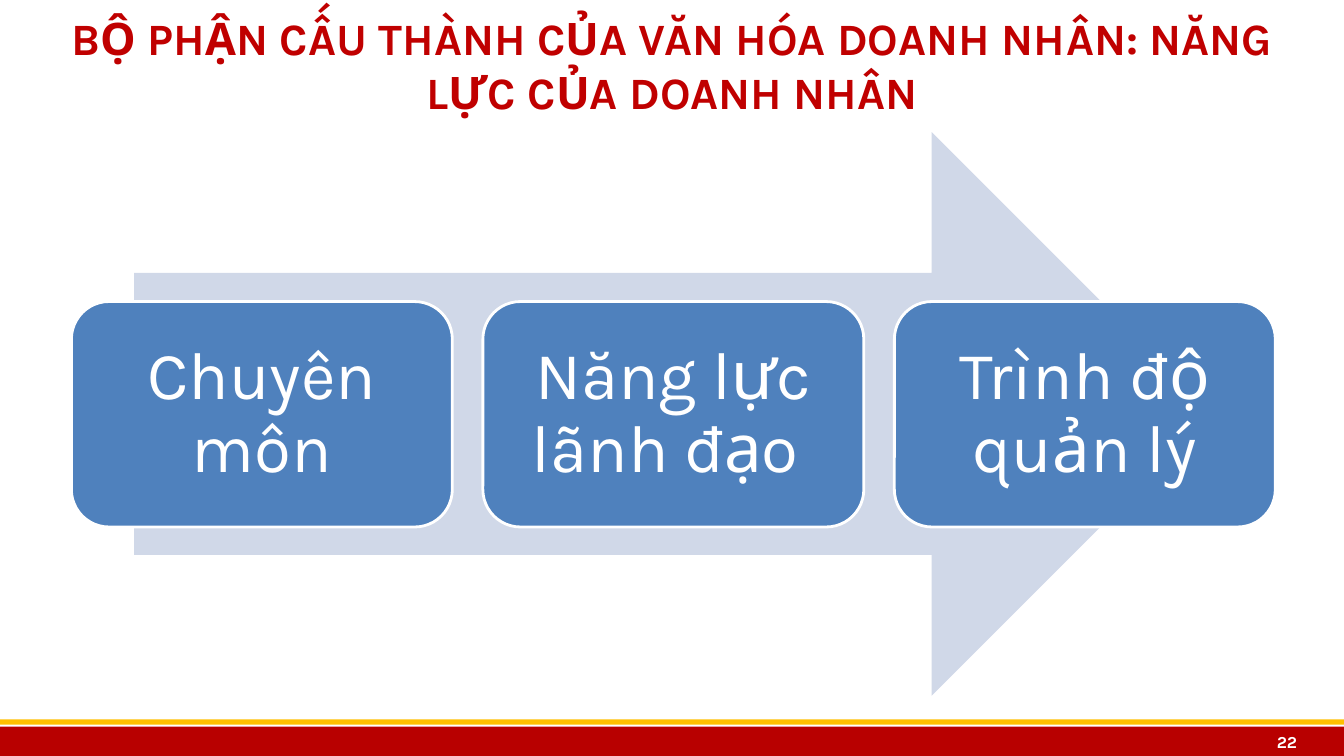
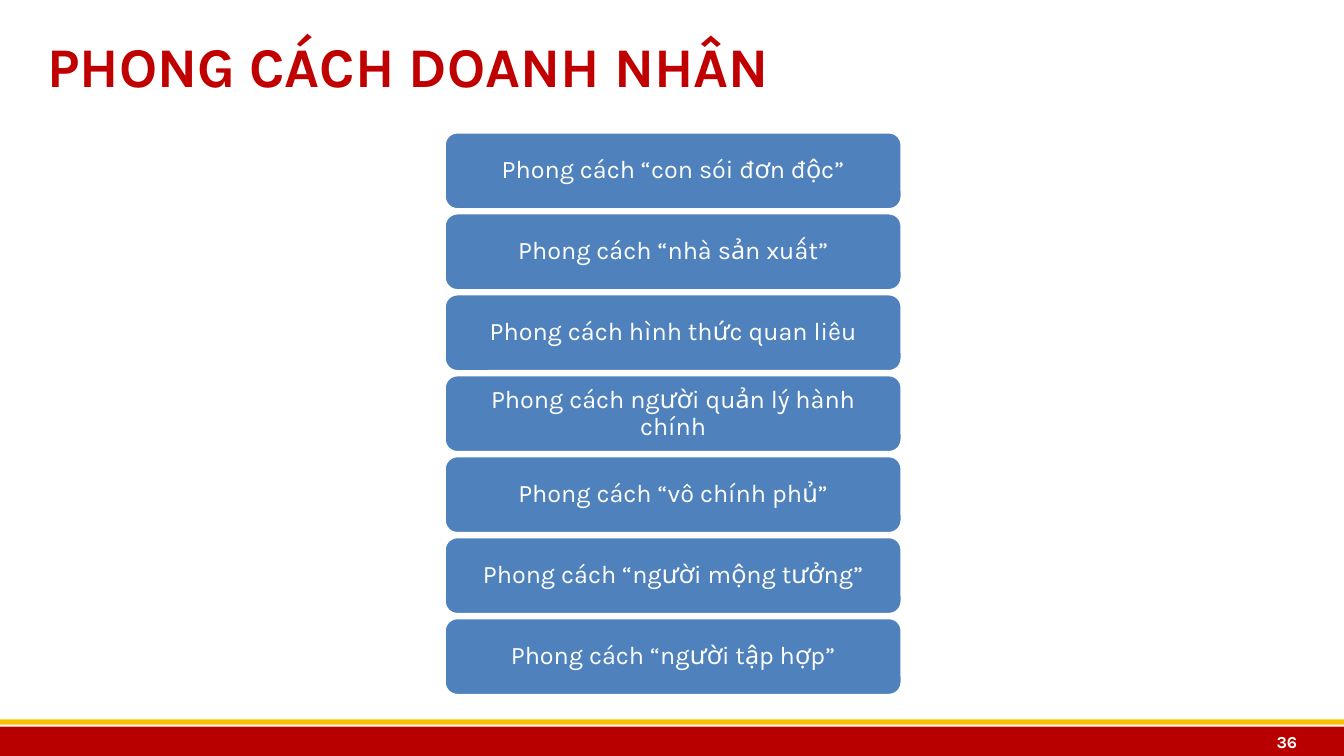
from pptx import Presentation
from pptx.dml.color import RGBColor
from pptx.enum.shapes import MSO_SHAPE as Form
from pptx.enum.text import MSO_ANCHOR as Anchor, MSO_AUTO_SIZE as Fit, PP_ALIGN as Align
from pptx.util import Cm, Pt

HUES = {"band": "B80000", "gold": "FFC000", "title": "C00000",
        "arrow": "D0D8E8", "card": "4F81BD", "white": "FFFFFF"}
WIDE, HIGH = 33.87, 19.05

SKILLS = ["Chuyên môn", "Năng lực lãnh đạo ", "Trình độ quản lý"]
STYLES = [
    "Phong cách “con sói đơn độc”",
    "Phong cách “nhà sản xuất”",
    "Phong cách hình thức quan liêu",
    "Phong cách người quản lý hành chính",
    "Phong cách “vô chính phủ”",
    "Phong cách “người mộng tưởng”",
    "Phong cách “người tập hợp”",
]


def hue(name):
    return RGBColor.from_string(HUES[name])


def set_all(item, **values):
    for name, value in values.items():
        setattr(item, name, value)


def place(shape, box):
    sides = ("left", "top", "width", "height")
    set_all(shape, **{side: Cm(n) for side, n in zip(sides, box)})


def write(shape, text, size, color="white", bold=False, align=Align.CENTER,
          pad=(0.25, 0.13), lead=1.0):
    """Fill a shape with one paragraph; pad is the side and top inset in cm."""
    side, top = (Cm(n) for n in pad)
    frame = shape.text_frame
    set_all(frame, text=text, word_wrap=True, auto_size=Fit.NONE,
            vertical_anchor=Anchor.MIDDLE, margin_left=side, margin_right=side,
            margin_top=top, margin_bottom=top)
    para = frame.paragraphs[0]
    set_all(para, alignment=align, line_spacing=lead)
    set_all(para.font, name="Karla", size=Pt(size), bold=bold)
    para.font.color.rgb = hue(color)


def add_form(slide, form, box, fill):
    shape = slide.shapes.add_shape(form, *(Cm(n) for n in box))
    shape.shadow.inherit = False
    shape.fill.solid()
    shape.fill.fore_color.rgb = hue(fill)
    shape.line.fill.background()
    return shape


def add_card(slide, box, text, size, pad):
    card = add_form(slide, Form.ROUNDED_RECTANGLE, box, "card")
    card.line.color.rgb = hue("white")
    card.line.width = Pt(2)
    write(card, text, size, pad=pad, lead=0.9)


def add_page(deck, title, size, align, number):
    """Add a slide with its title, the two bands and the page number."""
    slide = deck.slides.add_slide(deck.slide_layouts[5])
    add_form(slide, Form.RECTANGLE, (0, 18.31, WIDE, 0.74), "band")
    add_form(slide, Form.RECTANGLE, (0, 18.13, WIDE, 0.13), "gold")
    head = slide.shapes.title
    place(head, (0.94, 0.13, 32, 3))
    write(head, title, size, "title", True, align)
    label = slide.shapes.add_textbox(0, 0, 0, 0)
    place(label, (30.73, 18.31, 2.21, 0.79))
    write(label, number, 12, bold=True, align=Align.RIGHT, pad=(0.25, 0))
    return slide


def add_skills(deck):
    slide = add_page(
        deck, "BỘ PHẬN CẤU THÀNH CỦA VĂN HÓA DOANH NHÂN: NĂNG LỰC CỦA DOANH NHÂN",
        32, Align.CENTER, "22")
    add_form(slide, Form.RIGHT_ARROW, (3.38, 3.33, 27.2, 14.2), "arrow")
    for i, text in enumerate(SKILLS):
        add_card(slide, (1.8 + i * 10.37, 7.6, 9.6, 5.68), text, 48, (0.51, 0.51))


def add_styles(deck):
    slide = add_page(deck, "PHONG CÁCH DOANH NHÂN", 40, Align.LEFT, "36")
    for i, text in enumerate(STYLES):
        add_card(slide, (11.2, 3.33 + i * 2.04, 11.53, 1.95), text, 18, (0.18, 0.1))


def main():
    deck = Presentation()
    set_all(deck, slide_width=Cm(WIDE), slide_height=Cm(HIGH))
    add_skills(deck)
    add_styles(deck)
    deck.save("out.pptx")


if __name__ == "__main__":
    main()
